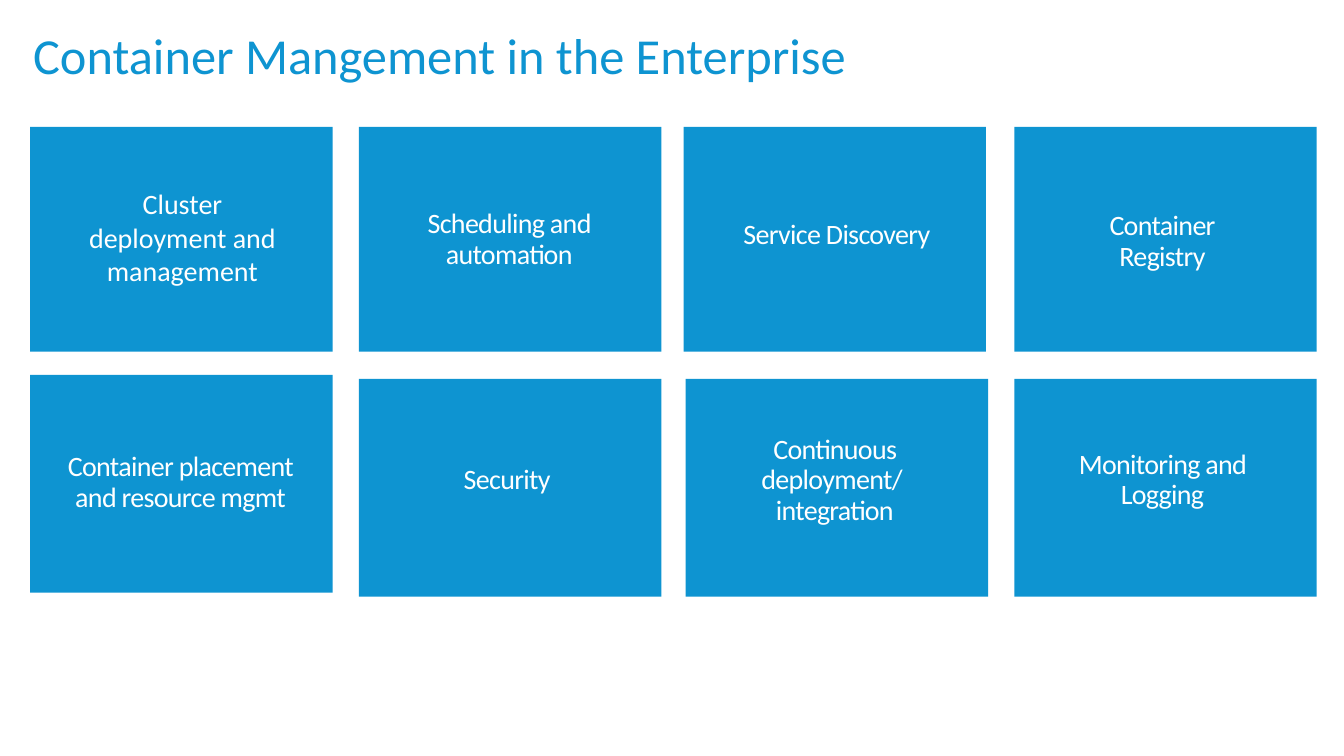
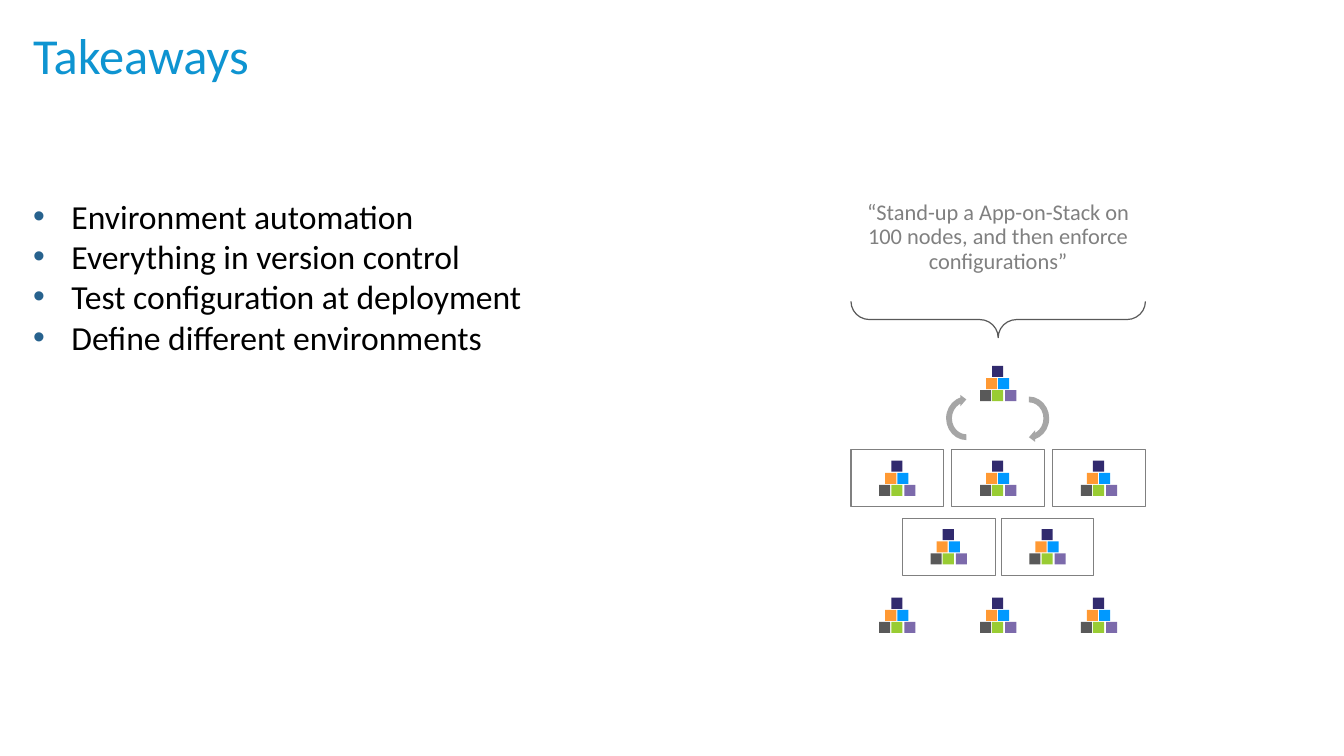
from dataclasses import dataclass

from lxml.etree import SubElement
from pptx import Presentation
from pptx.dml.color import RGBColor as Rgb
from pptx.enum.shapes import MSO_SHAPE as Shape
from pptx.enum.text import MSO_ANCHOR as Anchor, PP_ALIGN as Align
from pptx.oxml.ns import qn
from pptx.util import Pt

PX = 9144  # EMU per px, 100 px to the inch


@dataclass(frozen=True)
class Theme:
    font: str = "Calibri"
    blue: str = "0E94D1"
    white: str = "FFFFFF"
    black: str = "000000"
    bullet: str = "27628E"
    quote: str = "808080"
    frame: str = "808080"
    brace: str = "595959"
    arrow: str = "A6A6A6"
    # Icon blocks, one row after another from the top
    blocks: tuple = (("312A6E",), ("FF9933", "0099FF"),
                     ("595959", "99CC33", "7C6AAB"))
    title: int = 36
    body: int = 24
    label: int = 20
    note: int = 16


def add_bullet(para, color, indent):
    """Give the paragraph a coloured dot and a hanging indent."""
    props = para._p.get_or_add_pPr()
    props.set("marL", str(indent * PX))
    props.set("indent", str(-indent * PX))
    tint = SubElement(props, qn("a:buClr"))
    SubElement(tint, qn("a:srgbClr"), val=color)
    SubElement(props, qn("a:buFont"), typeface="Arial")
    SubElement(props, qn("a:buChar"), char="•")


class Deck:
    def __init__(self, theme):
        self.theme = theme
        self.show = Presentation()
        self.show.slide_width = 1333 * PX
        self.show.slide_height = 750 * PX
        self.slide = None

    def page(self, title):
        self.slide = self.show.slides.add_slide(self.show.slide_layouts[6])
        self.text([title], 23, 19, 1056, 151,
                  size=self.theme.title, color=self.theme.blue)

    def text(self, paras, x, y, w, h, *, size, color, align=Align.LEFT,
             anchor=Anchor.TOP, inset=None, lead=None, track=0, bullet=None):
        """Add a text box; track is letter spacing in 1/100 pt."""
        box = self.slide.shapes.add_textbox(x * PX, y * PX, w * PX, h * PX)
        frame = box.text_frame
        frame.word_wrap = True
        frame.vertical_anchor = anchor
        if inset is not None:
            frame.margin_left = frame.margin_right = inset * PX
            frame.margin_top = frame.margin_bottom = inset * PX
        for i, words in enumerate(paras):
            para = frame.add_paragraph() if i else frame.paragraphs[0]
            para.text = words
            para.alignment = align
            if lead:
                para.line_spacing = lead
            if bullet:
                add_bullet(para, bullet, 38)
            for run in para.runs:
                run.font.name = self.theme.font
                run.font.size = Pt(size)
                run.font.color.rgb = Rgb.from_string(color)
                if track:
                    run.font._element.set("spc", str(track))

    def shape(self, kind, x, y, w, h, *, fill=None, line=None, width=0.75,
              turn=0):
        item = self.slide.shapes.add_shape(kind, x * PX, y * PX,
                                           w * PX, h * PX)
        item.shadow.inherit = False
        item.rotation = turn
        if fill:
            item.fill.solid()
            item.fill.fore_color.rgb = Rgb.from_string(fill)
        else:
            item.fill.background()
        if line:
            item.line.color.rgb = Rgb.from_string(line)
            item.line.width = Pt(width)
        else:
            item.line.fill.background()
        return item

    def label(self, words, x, mid, w=250, lead=0.9, track=-50):
        """Centre white words on the height mid."""
        self.text([words], x, mid - 50, w, 100, size=self.theme.label,
                  color=self.theme.white, align=Align.CENTER,
                  anchor=Anchor.MIDDLE, inset=0, lead=lead, track=track)

    def icon(self, x, y):
        """Stack six blocks as a pyramid."""
        for row, colors in enumerate(self.theme.blocks):
            for col, color in enumerate(colors):
                self.shape(Shape.RECTANGLE, x + 6 * (2 - row) + col * 25 // 2,
                           y + 12 * row, 11, 11, fill=color)

    def node(self, x, y):
        self.shape(Shape.RECTANGLE, x, y, 92, 57, line=self.theme.frame)
        self.icon(x + 28, y + 11)


def add_cards(deck):
    deck.page("Container Mangement in the Enterprise")
    tight = {}
    loose = {"w": 200, "lead": None, "track": 0}
    # Card left, top and height; label left and middle; words; format
    cards = (
        (30, 126, 223, 81, 235, "Cluster deployment and management", loose),
        (356, 126, 223, 380, 238, "Scheduling and automation", tight),
        (678, 126, 223, 705, 234, "Service Discovery", tight),
        (1006, 126, 223, 1028, 240, "Container\nRegistry", tight),
        (30, 372, 216, 54, 479, "Container placement and resource mgmt",
         tight),
        (356, 376, 216, 378, 477, "Security", tight),
        (680, 376, 216, 703, 477, "Continuous deployment/ \nintegration",
         tight),
        (1006, 376, 216, 1028, 477, "Monitoring and Logging", tight),
    )
    for x, y, h, left, mid, words, style in cards:
        deck.shape(Shape.RECTANGLE, x, y, 300, h, fill=deck.theme.blue)
        deck.label(words, left, mid, **style)


def add_points(deck):
    theme = deck.theme
    deck.page("Takeaways")
    deck.text(["Environment automation", "Everything in version control",
               "Test configuration at deployment",
               "Define different environments"],
              23, 189, 591, 212, size=theme.body, color=theme.black,
              bullet=theme.bullet)
    deck.text(["“Stand-up a App-on-Stack on 100 nodes, "
               "and then enforce configurations”"],
              840, 195, 300, 83, size=theme.note, color=theme.quote,
              align=Align.CENTER, lead=0.9)

    brace = deck.shape(Shape.LEFT_BRACE, 972, 171, 36, 292,
                       line=theme.brace, width=0.85, turn=270)
    brace.adjustments[0] = 0.51
    deck.icon(972, 363)
    for x, turn in ((934, 270), (996, 90)):
        deck.shape(Shape.CIRCULAR_ARROW, x, 392, 49, 46,
                   fill=theme.arrow, turn=turn)

    for col in range(3):
        deck.node(844 + 100 * col, 446)
        deck.icon(872 + 100 * col, 593)
    for col in range(2):
        deck.node(895 + 98 * col, 514)


def main():
    deck = Deck(Theme())
    add_cards(deck)
    add_points(deck)
    deck.show.save("out.pptx")


if __name__ == "__main__":
    main()
